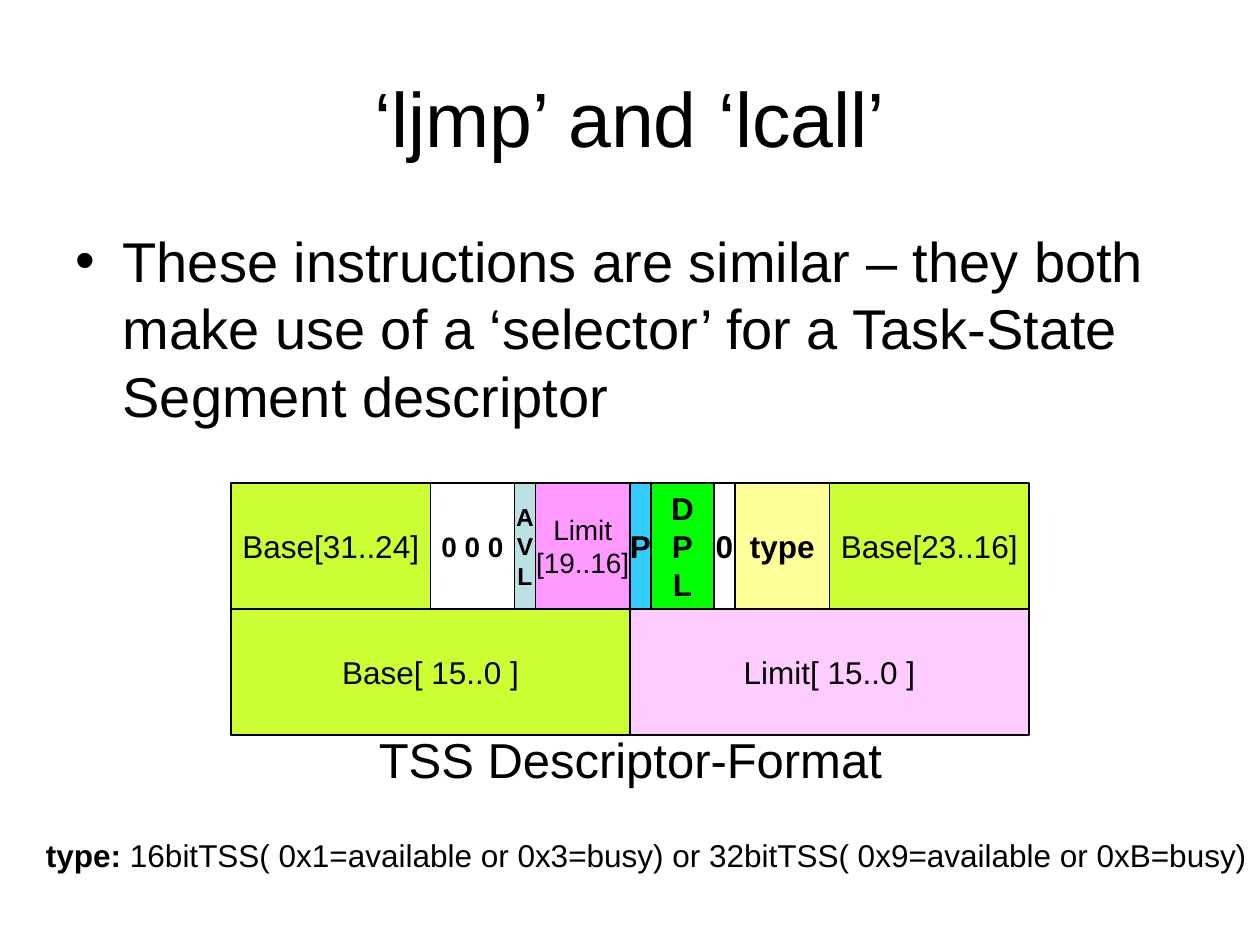
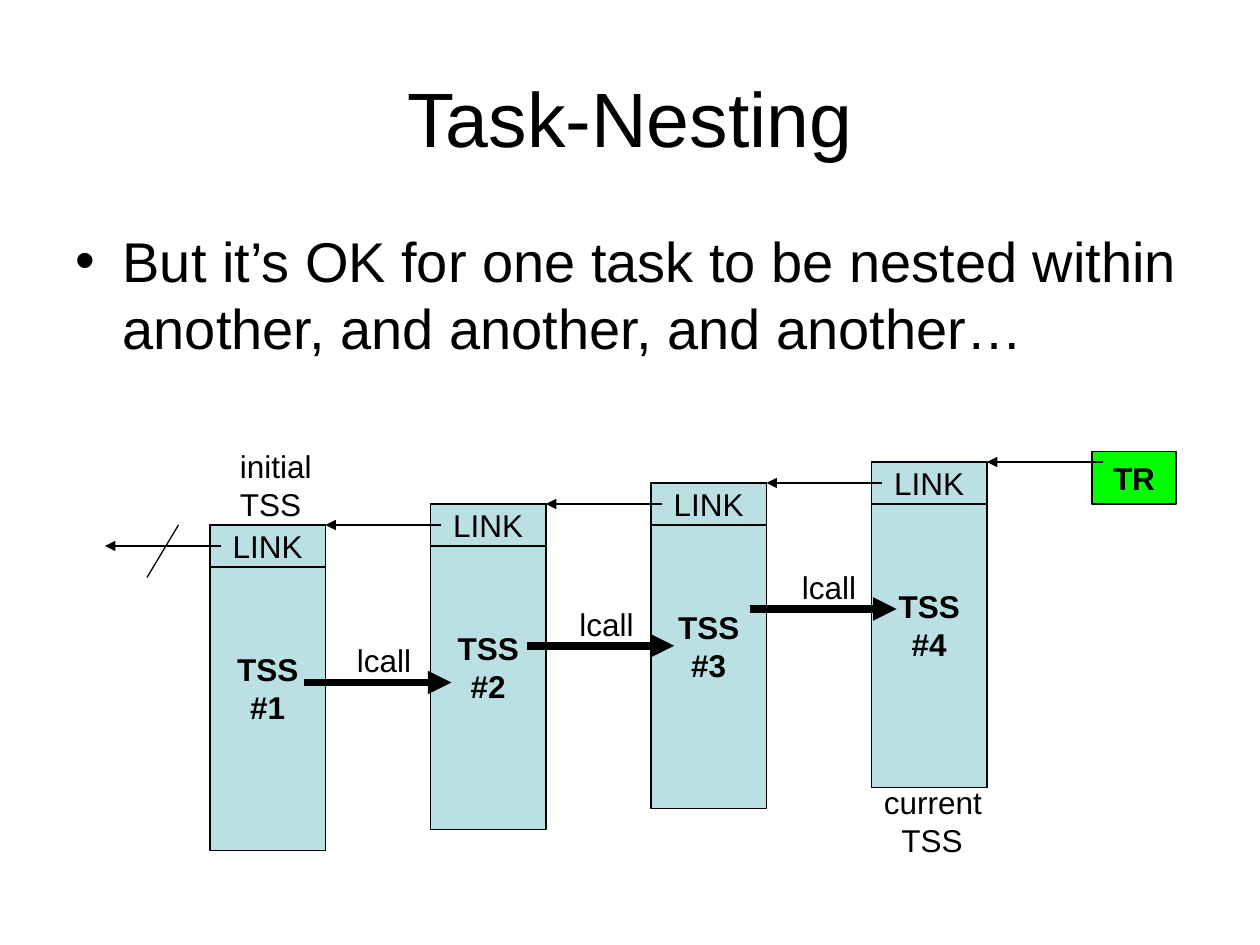
from dataclasses import dataclass

from lxml import etree
from pptx import Presentation
from pptx import util as u
from pptx.dml.color import RGBColor
from pptx.enum import shapes, text
from pptx.oxml import ns

COLS, ROWS = 120, 90
WIDE, HIGH = u.Inches(10), u.Inches(7.5)


@dataclass(frozen=True)
class Theme:
    font: str = "Arial"
    ink: str = "000000"
    paper: str = "FFFFFF"
    lime: str = "CCFF33"
    green: str = "00FF00"
    teal: str = "BBE0E3"
    pink: str = "FF99FF"
    blush: str = "FFCCFF"
    sky: str = "33CCFF"
    cream: str = "FFFF99"
    title: int = 44
    body: int = 32
    head: int = 28
    base: int = 18
    small: int = 16
    tiny: int = 14
    thin: float = 0.75
    thick: float = 4.5


T = Theme()


@dataclass(frozen=True)
class Area:
    """A place on the slide, in grid columns and rows."""
    col: float
    row: float
    wide: float
    high: float

    def emu(self) -> tuple:
        return (x(self.col), y(self.row), x(self.wide), y(self.high))


@dataclass(frozen=True)
class Field:
    """One bit field of the descriptor; span is its width in columns."""
    words: str
    span: int
    fill: str
    size: int = T.base
    bold: bool = False


TITLE = Area(6, 3.6, 108, 15)
BODY = Area(6, 21, 108, 59.4)

UPPER = (
    Field("Base[31..24]", 19, T.lime),
    Field("0 0 0", 8, T.paper, T.small, True),
    Field("A\nV\nL", 2, T.teal, T.tiny, True),
    Field("Limit\n[19..16]", 9, T.pink, T.small),
    Field("P", 2, T.sky, bold=True),
    Field("D\nP\nL", 6, T.green, bold=True),
    Field("0", 2, T.paper, bold=True),
    Field("type", 9, T.cream, bold=True),
    Field("Base[23..16]", 19, T.lime),
)
LOWER = (
    Field("Base[ 15..0 ]", 38, T.lime),
    Field("Limit[ 15..0 ]", 38, T.blush),
)


def x(col: float) -> int:
    return round(WIDE * col / COLS)


def y(row: float) -> int:
    return round(HIGH * row / ROWS)


def write(frame, words: str, size: int, bold: bool = False, mid: bool = False) -> None:
    frame.text = words
    for para in frame.paragraphs:
        para.alignment = text.PP_ALIGN.CENTER if mid else text.PP_ALIGN.LEFT
        for run in para.runs:
            run.font.name = T.font
            run.font.size = u.Pt(size)
            run.font.bold = bold
            run.font.color.rgb = RGBColor.from_string(T.ink)


def indent(para, left: float, first: float = 0) -> None:
    """Set the left and first-line indents, in columns."""
    props = para._p.get_or_add_pPr()
    props.set("marL", str(x(left)))
    props.set("indent", str(x(first)))


def start(deck, title: str, point: str):
    """Add a slide with its title and one bullet point."""
    slide = deck.slides.add_slide(deck.slide_layouts[6])
    frame = slide.shapes.add_textbox(*TITLE.emu()).text_frame
    frame.word_wrap = True
    frame.vertical_anchor = text.MSO_ANCHOR.MIDDLE
    write(frame, title, T.title, mid=True)

    frame = slide.shapes.add_textbox(*BODY.emu()).text_frame
    frame.word_wrap = True
    write(frame, point, T.body)
    para = frame.paragraphs[0]
    indent(para, 4.5, -4.5)
    props = para._p.get_or_add_pPr()
    etree.SubElement(props, ns.qn("a:buFont")).set("typeface", T.font)
    etree.SubElement(props, ns.qn("a:buChar")).set("char", "•")
    return slide


def box(slide, area: Area, words: str, fill: str, size: int = T.base,
        bold: bool = False) -> None:
    shape = slide.shapes.add_shape(shapes.MSO_SHAPE.RECTANGLE, *area.emu())
    shape.shadow.inherit = False
    shape.fill.solid()
    shape.fill.fore_color.rgb = RGBColor.from_string(fill)
    shape.line.color.rgb = RGBColor.from_string(T.ink)
    shape.line.width = u.Pt(T.thin)
    frame = shape.text_frame
    frame.word_wrap = False
    frame.vertical_anchor = text.MSO_ANCHOR.MIDDLE
    write(frame, words, size, bold, mid=True)


def label(slide, area: Area, words: str, size: int = T.base):
    frame = slide.shapes.add_textbox(*area.emu()).text_frame
    frame.word_wrap = False
    frame.auto_size = text.MSO_AUTO_SIZE.SHAPE_TO_FIT_TEXT
    write(frame, words, size)
    return frame


def line(slide, tail: tuple, tip: tuple, width: float = T.thin,
         arrow: bool = True) -> None:
    """Draw a line between two (column, row) points, with any arrowhead at tip."""
    link = slide.shapes.add_connector(
        shapes.MSO_CONNECTOR.STRAIGHT, x(tail[0]), y(tail[1]), x(tip[0]), y(tip[1]))
    link.line.color.rgb = RGBColor.from_string(T.ink)
    link.line.width = u.Pt(width)
    props = link.element.spPr
    if arrow:
        end = etree.SubElement(props.find(ns.qn("a:ln")), ns.qn("a:tailEnd"))
        end.set("type", "triangle")
    etree.SubElement(props, ns.qn("a:effectLst"))


def band(slide, fields: tuple, row: int) -> None:
    """Lay fields side by side, from column 22."""
    col = 22
    for item in fields:
        box(slide, Area(col, row, item.span, 12), item.words, item.fill,
            item.size, item.bold)
        col += item.span


def jumps(deck) -> None:
    slide = start(deck, "‘ljmp’ and ‘lcall’",
                  "These instructions are similar – they both make use of a "
                  "‘selector’ for a Task-State Segment descriptor")
    band(slide, LOWER, 58)
    band(slide, UPPER, 46)
    label(slide, Area(34.9, 68.9, 50.3, 6.8), "TSS Descriptor-Format", T.head)
    note = label(slide, Area(3.2, 79, 116.8, 4.8), "type:")
    para = note.paragraphs[0]
    para.runs[0].font.bold = True
    run = para.add_run()
    run.text = " 16bitTSS( 0x1=available or 0x3=busy) or 32bitTSS( 0x9=available or 0xB=busy)"
    run.font.name = T.font
    run.font.size = u.Pt(T.base)
    run.font.color.rgb = RGBColor.from_string(T.ink)


def nesting(deck) -> None:
    slide = start(deck, "Task-Nesting",
                  "But it’s OK for one task to be nested within another, "
                  "and another, and another…")
    box(slide, Area(104, 43, 8, 5), "TR", T.green, bold=True)
    for task in reversed(range(4)):
        col, row = 20 + 21 * task, 50 - 2 * task
        box(slide, Area(col, row, 11, 31), f"TSS\n#{task + 1}", T.teal, bold=True)
        line(slide, (col + 22, row), (col + 11, row))
        box(slide, Area(col, row, 11, 4), "LINK", T.teal)

    line(slide, (21, 52), (10, 52))
    line(slide, (17, 50), (14, 55), arrow=False)
    for call in range(3):
        col, row = 29 + 21.2 * call, 65 - 3.5 * call
        line(slide, (col, row), (col + 14, row), T.thick)
        label(slide, Area(col + 3.8, row - 4.5, 7.6, 4.8), "lcall")

    first = label(slide, Area(20, 42, 10.9, 8.4), "initial\nTSS")
    last = label(slide, Area(83, 74, 11.8, 8.4), "current\nTSS")
    for para in (*first.paragraphs, last.paragraphs[1]):
        indent(para, 1.67)


def main() -> None:
    deck = Presentation()
    deck.slide_width, deck.slide_height = WIDE, HIGH
    jumps(deck)
    nesting(deck)
    deck.save("out.pptx")


if __name__ == "__main__":
    main()
